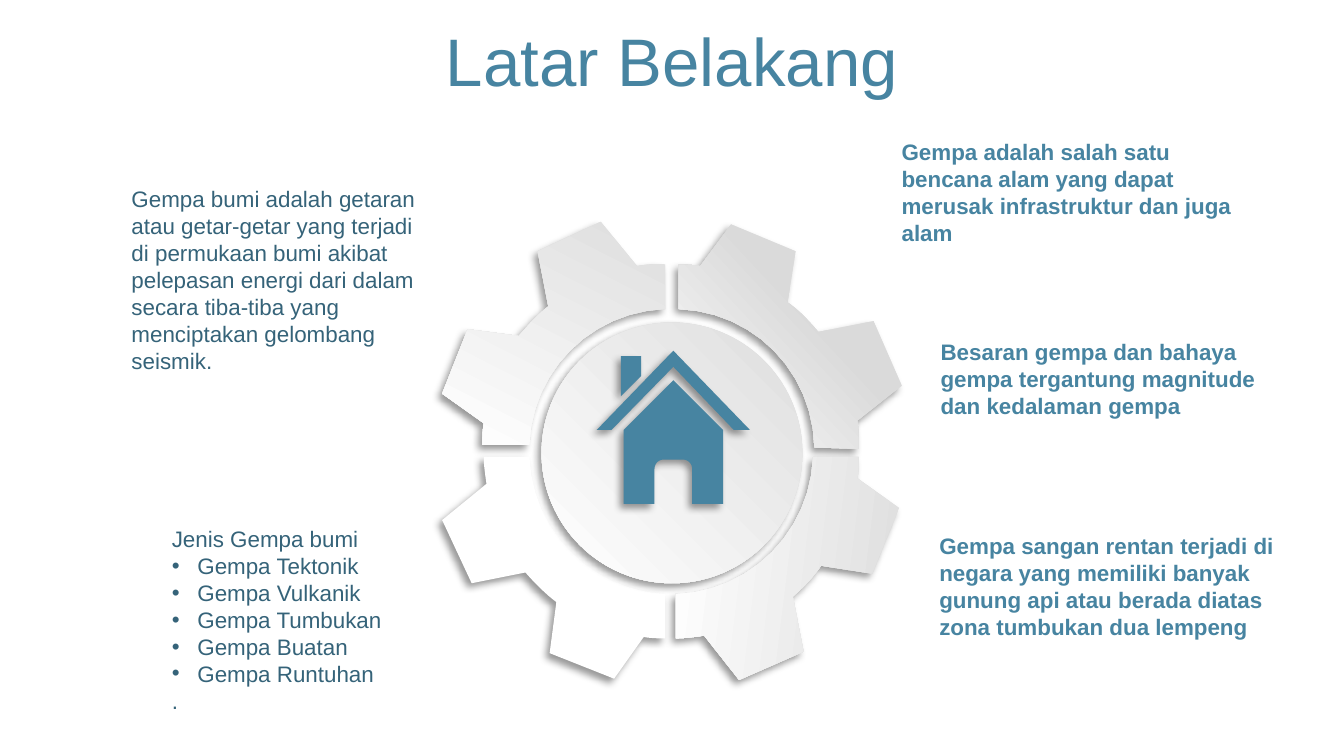
from copy import deepcopy

from lxml import etree
from pptx import Presentation
from pptx.dml.color import RGBColor
from pptx.enum.shapes import MSO_SHAPE
from pptx.enum.text import MSO_ANCHOR, PP_ALIGN
from pptx.oxml.ns import qn
from pptx.util import Inches, Pt

BLUE = RGBColor(0x47, 0x84, 0xA1)
DARK_BLUE = RGBColor(0x35, 0x63, 0x79)
GREY = RGBColor(0xDE, 0xDE, 0xDE)
MID_GREY = RGBColor(0xDA, 0xDA, 0xDA)
WHITE = RGBColor(0xFF, 0xFF, 0xFF)
FONT = "Arial"
CURVE_STEPS = 12
FADE = [(0, GREY), (1, WHITE)]
LATE_FADE = [(0, GREY), (0.4, MID_GREY), (1, WHITE)]

TOP_LEFT = [
    (1.47, 0.25), (1.74, 0.58), (1.81, 0.57, 1.88, 0.56, 1.95, 0.57), (1.95, 0.9),
    (1.4, 0.92, 0.96, 1.36, 0.94, 1.91), (0.59, 1.91),
    (0.59, 1.86, 0.59, 1.81, 0.6, 1.75), (0.29, 1.53), (0.48, 1.05), (0.86, 1.1),
    (0.93, 1.02, 1, 0.94, 1.08, 0.88), (1, 0.47),
]
TOP_RIGHT = [
    (2.44, 0.27), (2.92, 0.47), (2.86, 0.85), (2.95, 0.91, 3.02, 0.99, 3.09, 1.07),
    (3.5, 0.99), (3.71, 1.47), (3.38, 1.73), (3.39, 1.8, 3.39, 1.87, 3.39, 1.94),
    (3.06, 1.93), (3.05, 1.37, 2.61, 0.92, 2.05, 0.9), (2.05, 0.57),
    (2.11, 0.57, 2.16, 0.57, 2.21, 0.58),
]
BOTTOM_RIGHT = [
    (3.05, 2), (3.39, 2), (3.39, 2.05, 3.39, 2.11, 3.38, 2.16), (3.69, 2.38),
    (3.49, 2.87), (3.11, 2.81), (3.05, 2.9, 2.98, 2.97, 2.9, 3.04), (2.98, 3.45),
    (2.5, 3.66), (2.24, 3.33), (2.17, 3.34, 2.1, 3.35, 2.03, 3.35), (2.03, 3.02),
    (2.59, 3, 3.03, 2.55, 3.05, 2),
]
BOTTOM_LEFT = [
    (0.94, 2), (0.96, 2.55, 1.4, 2.99, 1.95, 3.02), (1.95, 3.35),
    (1.9, 3.35, 1.85, 3.35, 1.79, 3.34), (1.57, 3.65), (1.09, 3.46), (1.14, 3.08),
    (1.06, 3.02, 0.98, 2.94, 0.91, 2.86), (0.51, 2.94), (0.29, 2.47), (0.62, 2.2),
    (0.61, 2.13, 0.6, 2.07, 0.6, 2),
]
WALLS = [
    (0.57, 0.22), (0.94, 0.59), (0.94, 1.14), (0.71, 1.14), (0.71, 0.88),
    (0.71, 0.84, 0.68, 0.81, 0.64, 0.81), (0.5, 0.81),
    (0.46, 0.81, 0.43, 0.84, 0.43, 0.88), (0.43, 1.14), (0.2, 1.14), (0.2, 0.59),
]
CHIMNEY = [(0.18, 0.04), (0.33, 0.04), (0.33, 0.19), (0.18, 0.34)]
ROOF = [(0.57, 0), (1.14, 0.59), (1.02, 0.59), (0.57, 0.12), (0.11, 0.59), (0, 0.59)]

EARTHQUAKE = ("Gempa bumi adalah getaran atau getar-getar yang terjadi di permukaan bumi "
              "akibat pelepasan energi dari dalam secara tiba-tiba yang menciptakan "
              "gelombang seismik.")
KINDS = ["Gempa Tektonik", "Gempa Vulkanik", "Gempa Tumbukan", "Gempa Buatan",
         "Gempa Runtuhan"]
FACTS = [
    (6.61, 0.98, 0.91, "Gempa adalah salah satu bencana alam yang dapat merusak "
                       "infrastruktur dan juga alam"),
    (6.9, 2.47, 0.71, "Besaran gempa dan bahaya gempa tergantung magnitude dan "
                      "kedalaman gempa"),
    (6.89, 3.91, 0.91, "Gempa sangan rentan terjadi di negara yang memiliki banyak "
                       "gunung api atau berada diatas zona tumbukan dua lempeng"),
]


def flatten(outline):
    points = [outline[0]]
    for segment in outline[1:]:
        if len(segment) == 2:
            points.append(segment)
            continue
        corners = [points[-1], segment[:2], segment[2:4], segment[4:]]
        for step in range(1, CURVE_STEPS + 1):
            t = step / CURVE_STEPS
            weights = ((1 - t) ** 3, 3 * t * (1 - t) ** 2, 3 * t * t * (1 - t), t ** 3)
            points.append(tuple(sum(weight * corner[axis]
                                    for weight, corner in zip(weights, corners))
                                for axis in (0, 1)))
    return points


def add_outline(page, left, top, outlines):
    builder = None
    for outline in outlines:
        points = [(Inches(left + x), Inches(top + y)) for x, y in flatten(outline)]
        if builder is None:
            builder = page.shapes.build_freeform(*points[0], scale=1.0)
        else:
            builder.move_to(*points[0])
        builder.add_line_segments(points[1:], close=True)
    return builder.convert_to_shape()


def finish(shape):
    shape.line.fill.background()
    shape.shadow.inherit = False
    effects = shape._element.spPr.find(qn("a:effectLst"))
    shadow = etree.SubElement(effects, qn("a:outerShdw"), blurRad=str(Pt(4)),
                              dist=str(Pt(3)), dir=str(135 * 60000), algn="tr",
                              rotWithShape="0")
    color = etree.SubElement(shadow, qn("a:srgbClr"), val="000000")
    etree.SubElement(color, qn("a:alpha"), val="40000")


def paint_solid(shape, color):
    shape.fill.solid()
    shape.fill.fore_color.rgb = color
    finish(shape)


def paint_gradient(shape, angle, shades=FADE):
    shape.fill.gradient()
    shape.fill.gradient_angle = 360 - angle
    stop_list = shape._element.spPr.find(qn("a:gradFill")).find(qn("a:gsLst"))
    while len(stop_list) < len(shades):
        stop_list.append(deepcopy(stop_list[-1]))
    for stop, (position, shade) in zip(shape.fill.gradient_stops, shades):
        stop.position = position
        stop.color.rgb = shade
    finish(shape)


def add_gear(page, left, top):
    for outline, angle, shades in ((TOP_LEFT, 117, FADE), (TOP_RIGHT, 137, LATE_FADE),
                                   (BOTTOM_RIGHT, 187, FADE)):
        paint_gradient(add_outline(page, left, top, [outline]), angle, shades)
    paint_solid(add_outline(page, left, top, [BOTTOM_LEFT]), WHITE)
    hub = page.shapes.add_shape(MSO_SHAPE.OVAL, Inches(left + 1.03), Inches(top + 1),
                                Inches(1.94), Inches(1.94))
    paint_gradient(hub, 135)
    paint_solid(add_outline(page, left + 1.44, top + 1.21, [WALLS, CHIMNEY, ROOF]), BLUE)


def add_bullet(para):
    properties = para._p.get_or_add_pPr()
    properties.set("marL", str(Inches(0.19)))
    properties.set("indent", str(-Inches(0.19)))
    etree.SubElement(properties, qn("a:buFont"), typeface=FONT)
    etree.SubElement(properties, qn("a:buChar"), char="•")


def add_text(page, left, top, width, height, lines, color, bold=False, bulleted=(),
             align=PP_ALIGN.LEFT):
    box = page.shapes.add_textbox(Inches(left), Inches(top), Inches(width), Inches(height))
    frame = box.text_frame
    frame.word_wrap = True
    for index, line in enumerate(lines):
        para = frame.paragraphs[0] if index == 0 else frame.add_paragraph()
        para.text = line
        para.alignment = align
        if line in bulleted:
            add_bullet(para)
        para.font.name = FONT
        para.font.size = Pt(12)
        para.font.bold = bold
        para.font.color.rgb = color


def set_title(page, text):
    title = page.shapes.title
    title.left, title.top = Inches(0), Inches(0.13)
    title.width, title.height = Inches(10), Inches(0.63)
    frame = title.text_frame
    frame.vertical_anchor = MSO_ANCHOR.MIDDLE
    para = frame.paragraphs[0]
    para.text = text
    para.alignment = PP_ALIGN.CENTER
    para.font.name = FONT
    para.font.size = Pt(36)
    para.font.color.rgb = BLUE


def main():
    deck = Presentation()
    deck.slide_width, deck.slide_height = Inches(10), Inches(10 * 9 / 16)
    page = deck.slides.add_slide(deck.slide_layouts[5])
    set_title(page, "Latar Belakang")
    add_gear(page, 3, 1.4)
    add_text(page, 0.88, 1.33, 2.41, 1.51, [EARTHQUAKE], DARK_BLUE)
    add_text(page, 1.18, 3.86, 1.95, 1.51, ["Jenis Gempa bumi", *KINDS, "."], DARK_BLUE,
             bulleted=KINDS, align=PP_ALIGN.JUSTIFY)
    for left, top, height, fact in FACTS:
        add_text(page, left, top, 2.78, height, [fact], BLUE, bold=True)
    deck.save("out.pptx")


if __name__ == "__main__":
    main()
